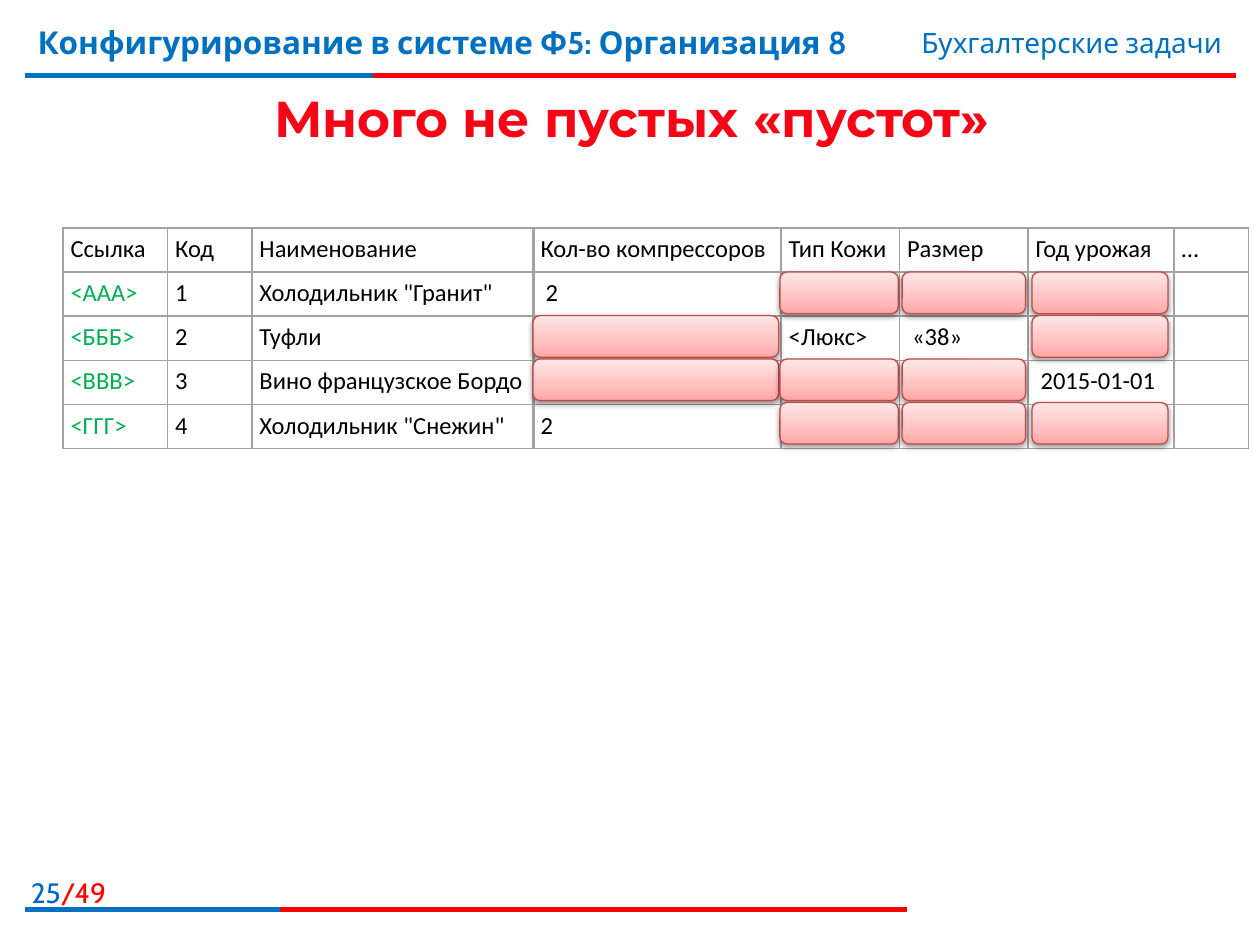
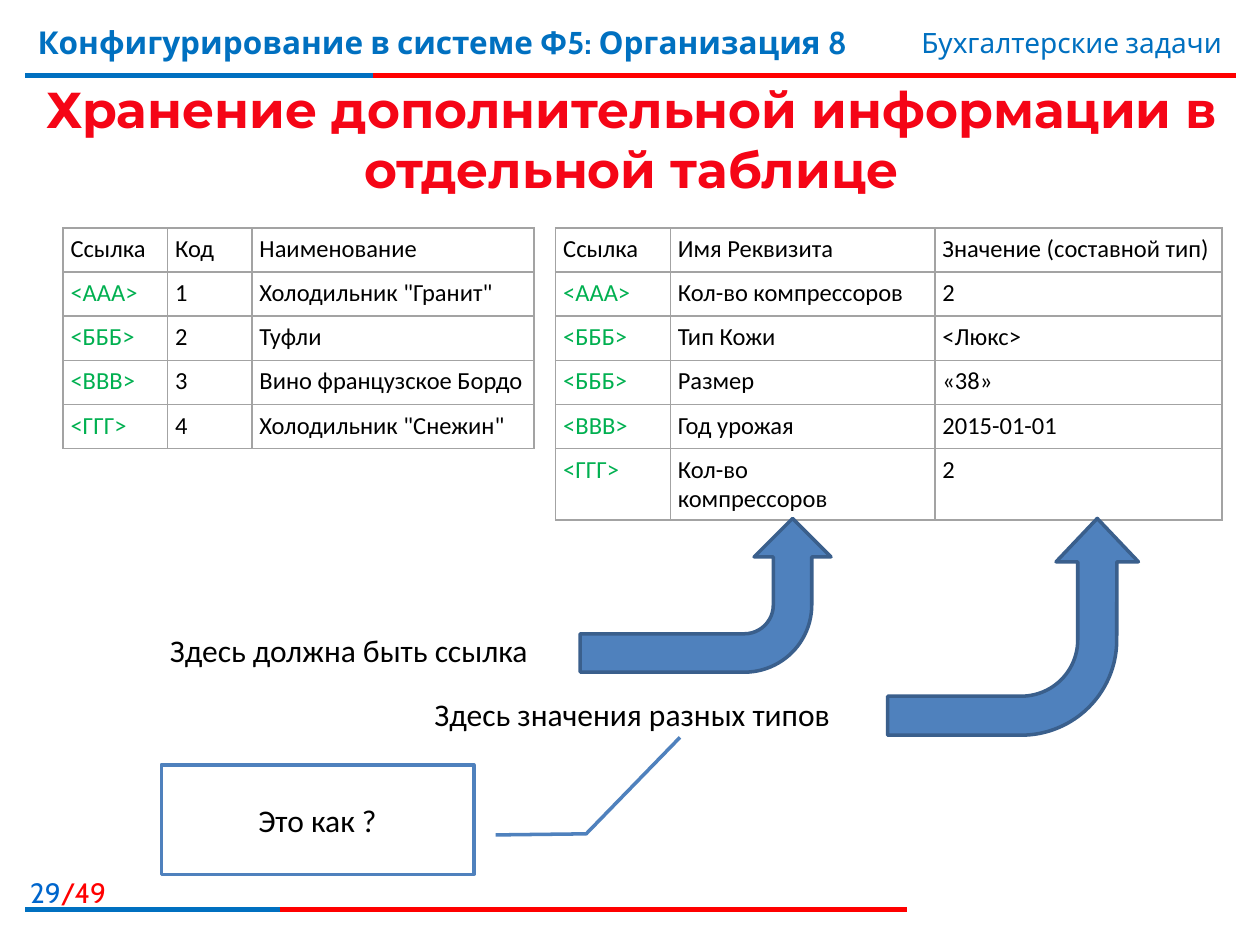
from dataclasses import dataclass

from lxml import etree
from pptx import Presentation
from pptx.dml.color import RGBColor
from pptx.enum.shapes import MSO_CONNECTOR, MSO_SHAPE
from pptx.enum.text import MSO_ANCHOR, PP_ALIGN
from pptx.oxml.ns import qn
from pptx.util import Inches, Pt

LEFT, CENTER, RIGHT = PP_ALIGN.LEFT, PP_ALIGN.CENTER, PP_ALIGN.RIGHT
TOP, MIDDLE = MSO_ANCHOR.TOP, MSO_ANCHOR.MIDDLE
STRAIGHT = MSO_CONNECTOR.STRAIGHT
ROUNDED, BENT_ARROW = MSO_SHAPE.ROUNDED_RECTANGLE, MSO_SHAPE.BENT_ARROW
CALLOUT = MSO_SHAPE.LINE_CALLOUT_2

GRID_COLS, GRID_ROWS = 100, 75
TABLE_TOP, ROW_HEIGHT = 18.1, 3.5
PAGE_TOTAL = 49
GOODS_COLS = (8.3, 6.7, 22.4)
GOODS = (
    ("Ссылка", "Код", "Наименование"),
    ("<ААА>", "1", 'Холодильник "Гранит"'),
    ("<БББ>", "2", "Туфли"),
    ("<ВВВ>", "3", "Вино французское Бордо"),
    ("<ГГГ>", "4", 'Холодильник "Снежин"'),
)
DETAIL_COLS = (19.7, 9.4, 10.2, 11.6, 5.9)
DETAILS = (
    ("Кол-во компрессоров", "Тип Кожи", "Размер", "Год урожая", "…"),
    ("2", "", "", "", ""),
    ("", "<Люкс>", "«38»", "", ""),
    ("", "", "", "2015-01-01", ""),
    ("2", "", "", "", ""),
)
INDENTED = {(1, 0), (2, 2), (3, 3)}
BLANK_SPANS = ((42.3, 19.5), (61.9, 9.4), (71.6, 9.8), (81.9, 10.8))
VALUE_COLS = (9.1, 21, 22.8)
VALUES = (
    ("Ссылка", "Имя Реквизита", "Значение (составной тип)"),
    ("<ААА>", "Кол-во компрессоров", "2"),
    ("<БББ>", "Тип Кожи", "<Люкс>"),
    ("<БББ>", "Размер", "«38»"),
    ("<ВВВ>", "Год урожая", "2015-01-01"),
    ("<ГГГ>", "Кол-во\nкомпрессоров", "2"),
)


@dataclass(frozen=True)
class Theme:
    """Colours, fonts and type sizes of the deck."""

    red: str = "FF0000"
    blue: str = "0070C0"
    page_blue: str = "0066CC"
    title: str = "F50516"
    ink: str = "000000"
    white: str = "FFFFFF"
    reference: str = "00B050"
    border: str = "A3A3A3"
    accent: str = "4F81BD"
    accent_dark: str = "3A5F8C"
    blank_line: str = "BF4C48"
    blank_stops: tuple = ((0, "FFA6A5"), (35, "FFC0BF"), (100, "FFE7E7"))
    head_font: str = "Cabin"
    title_font: str = "Montserrat"
    body_font: str = "Calibri"
    title_size: float = 28.8
    body_size: float = 18
    small_size: float = 16
    cell_size: float = 14


class Deck:
    """Holds the style and the current slide and draws on its grid."""

    def __init__(self, prs, theme):
        """Keep the presentation and the theme."""
        self.prs, self.theme, self.s = prs, theme, None

    def box(self, x, y, w, h):
        """Turn grid columns and rows into lengths."""
        col = self.prs.slide_width / GRID_COLS
        row = self.prs.slide_height / GRID_ROWS
        return [round(v) for v in (x * col, y * row, w * col, h * row)]

    def slide(self, number, title, title_rows):
        """Start a slide with its header, footer and title."""
        t = self.theme
        self.s = self.prs.slides.add_slide(self.prs.slide_layouts[6])
        self.rule(6, 98.1, 29.6)
        self.rule(72.2, 72, 22.2)
        self.text((0, 69, 9.4, 3.2), [(str(number), t.page_blue), (f"/{PAGE_TOTAL}", t.red)],
                  t.small_size, t.head_font, align=RIGHT)
        self.text((2, 1.3, 74, 6.2), [("Конфигурирование в системе Ф5: Организация 8", t.blue)],
                  t.body_size, t.head_font, bold=True)
        self.text((59.4, 1.5, 38.6, 3.7), [("Бухгалтерские задачи", t.blue)],
                  t.small_size, t.head_font, align=RIGHT)
        self.text((2.1, 6.3, 96.1, title_rows), [(title, t.title)],
                  t.title_size, t.title_font, True, CENTER, MIDDLE)

    def rule(self, y, red_end, blue_end):
        """Draw a red line with a blue beginning."""
        for end, color in ((red_end, self.theme.red), (blue_end, self.theme.blue)):
            x1, y1, x2, _ = self.box(2, y, end, 0)
            sp = self.s.shapes.add_connector(STRAIGHT, x1, y1, x2, y1)
            self.outline(sp, color, 3)
            etree.SubElement(sp._element.spPr, qn("a:effectLst"))

    def outline(self, sp, color, width):
        """Set the line of a shape."""
        sp.line.color.rgb = RGBColor.from_string(color)
        sp.line.width = Pt(width)

    def font(self, p, color, size, name, bold=False):
        """Set the font of a paragraph."""
        p.font.size, p.font.name, p.font.bold = Pt(size), name, bold
        p.font.color.rgb = RGBColor.from_string(color)

    def text(self, area, parts, size, name, bold=False, align=LEFT, anchor=TOP):
        """Add a text box whose parts may differ in colour."""
        tf = self.s.shapes.add_textbox(*self.box(*area)).text_frame
        tf.word_wrap, tf.vertical_anchor = True, anchor
        p = tf.paragraphs[0]
        p.alignment = align
        self.font(p, parts[0][1], size, name, bold)
        for words, color in parts:
            r = p.add_run()
            r.text = words
            if len(parts) > 1:
                r.font.color.rgb = RGBColor.from_string(color)

    def note(self, area, words):
        """Add a body text label."""
        self.text(area, [(words, self.theme.ink)], self.theme.body_size, self.theme.body_font)

    def table(self, x, cols, rows, indented=()):
        """Add a plain bordered table."""
        area = self.box(x, TABLE_TOP, sum(cols), ROW_HEIGHT * len(rows))
        tbl = self.s.shapes.add_table(len(rows), len(cols), *area).table
        tbl.first_row = tbl.horz_banding = False
        for column, width in zip(tbl.columns, cols):
            column.width = self.box(0, 0, width, 0)[2]
        for i, row in enumerate(rows):
            for j, words in enumerate(row):
                self.cell(tbl.cell(i, j), words, (i, j) in indented)

    def cell(self, cell, words, indented):
        """Fill one table cell and draw its borders."""
        t = self.theme
        cell.margin_left = Inches(0.1 if indented else 0.06)
        cell.margin_right = Inches(0.06)
        cell.margin_top = cell.margin_bottom = Inches(0.05)
        cell.fill.background()
        p = cell.text_frame.paragraphs[0]
        p.text = words
        is_reference = words.startswith("<") and words != "<Люкс>"
        self.font(p, t.reference if is_reference else t.ink, t.cell_size, t.body_font)
        if not words:
            p._p.get_or_add_endParaRPr().set("sz", str(t.cell_size * 100))
        tc_pr = cell._tc.get_or_add_tcPr()
        for k, side in enumerate(("a:lnL", "a:lnR", "a:lnT", "a:lnB")):
            ln = etree.Element(qn(side), w=str(Pt(1)))
            fill = etree.SubElement(ln, qn("a:solidFill"))
            etree.SubElement(fill, qn("a:srgbClr"), val=t.border)
            tc_pr.insert(k, ln)

    def shape(self, kind, area, fill, line, width, adjust=()):
        """Add a preset shape without a shadow."""
        sp = self.s.shapes.add_shape(kind, *self.box(*area))
        sp.shadow.inherit = False
        sp.fill.solid()
        sp.fill.fore_color.rgb = RGBColor.from_string(fill)
        self.outline(sp, line, width)
        for k, value in enumerate(adjust):
            sp.adjustments[k] = value
        return sp

    def blank(self, area):
        """Cover an empty cell with a shaded red plate."""
        t = self.theme
        sp = self.shape(ROUNDED, area, t.white, t.blank_line, 0.75)
        sp.fill.gradient()
        sp.fill.gradient_angle = 90
        stops = sp._element.spPr.find(".//" + qn("a:gsLst"))
        for stop in list(stops):
            stops.remove(stop)
        for pos, color in t.blank_stops:
            stop = etree.SubElement(stops, qn("a:gs"), pos=str(pos * 1000))
            etree.SubElement(stop, qn("a:srgbClr"), val=color)
        effects = sp._element.spPr.find(qn("a:effectLst"))
        shadow = etree.SubElement(effects, qn("a:outerShdw"), blurRad=str(Pt(3.1)),
                                  dist=str(Pt(1.6)), dir="5400000", rotWithShape="0")
        color = etree.SubElement(shadow, qn("a:srgbClr"), val=t.ink)
        etree.SubElement(color, qn("a:alpha"), val="38000")

    def arrow(self, area, adjust=()):
        """Add a bent arrow that turns upwards."""
        sp = self.shape(BENT_ARROW, area, self.theme.accent, self.theme.accent_dark, 2, adjust)
        sp.rotation = 270
        sp._element.spPr.find(qn("a:xfrm")).set("flipV", "1")

    def callout(self, area, words, adjust):
        """Add a framed remark with a leader line."""
        t = self.theme
        sp = self.shape(CALLOUT, area, t.white, t.accent, 2, adjust)
        tf = sp.text_frame
        tf.word_wrap, tf.vertical_anchor = True, MIDDLE
        p = tf.paragraphs[0]
        p.text, p.alignment = words, CENTER
        self.font(p, t.ink, t.body_size, t.body_font)


def wide_table_slide(deck):
    """Show one wide table whose empty cells are covered."""
    deck.slide(25, "Много не пустых «пустот»", 6)
    deck.table(5, GOODS_COLS, GOODS)
    deck.table(42.3, DETAIL_COLS, DETAILS, INDENTED)
    for i, row in enumerate(DETAILS[1:]):
        for (x, w), words in zip(BLANK_SPANS, row):
            if not words:
                deck.blank((x, 21.6 + 3.45 * i, w, 3.3))


def separate_table_slide(deck):
    """Show the extra values moved to their own table."""
    deck.slide(29, "Хранение дополнительной информации в отдельной таблице", 9.4)
    deck.table(5, GOODS_COLS, GOODS)
    deck.table(44.1, VALUE_COLS, VALUES)
    deck.note((12.5, 49.6, 57.2, 4), "Здесь должна быть ссылка")
    deck.arrow((49.9, 37.3, 12.2, 19.9))
    deck.note((33.5, 54.7, 60.7, 4), "Здесь значения разных типов")
    deck.arrow((71.8, 39.8, 17.2, 19.9), (0.18, 0.19, 0.2, 0.44))
    deck.callout((12.8, 60.7, 24.8, 8.7), "Это как ?", (0.64, 1.07, 0.63, 1.36, -0.25, 1.66))


def main():
    """Build and save the deck."""
    prs = Presentation()
    prs.slide_width, prs.slide_height = Inches(10), Inches(7.5)
    deck = Deck(prs, Theme())
    wide_table_slide(deck)
    separate_table_slide(deck)
    prs.save("out.pptx")


if __name__ == "__main__":
    main()
